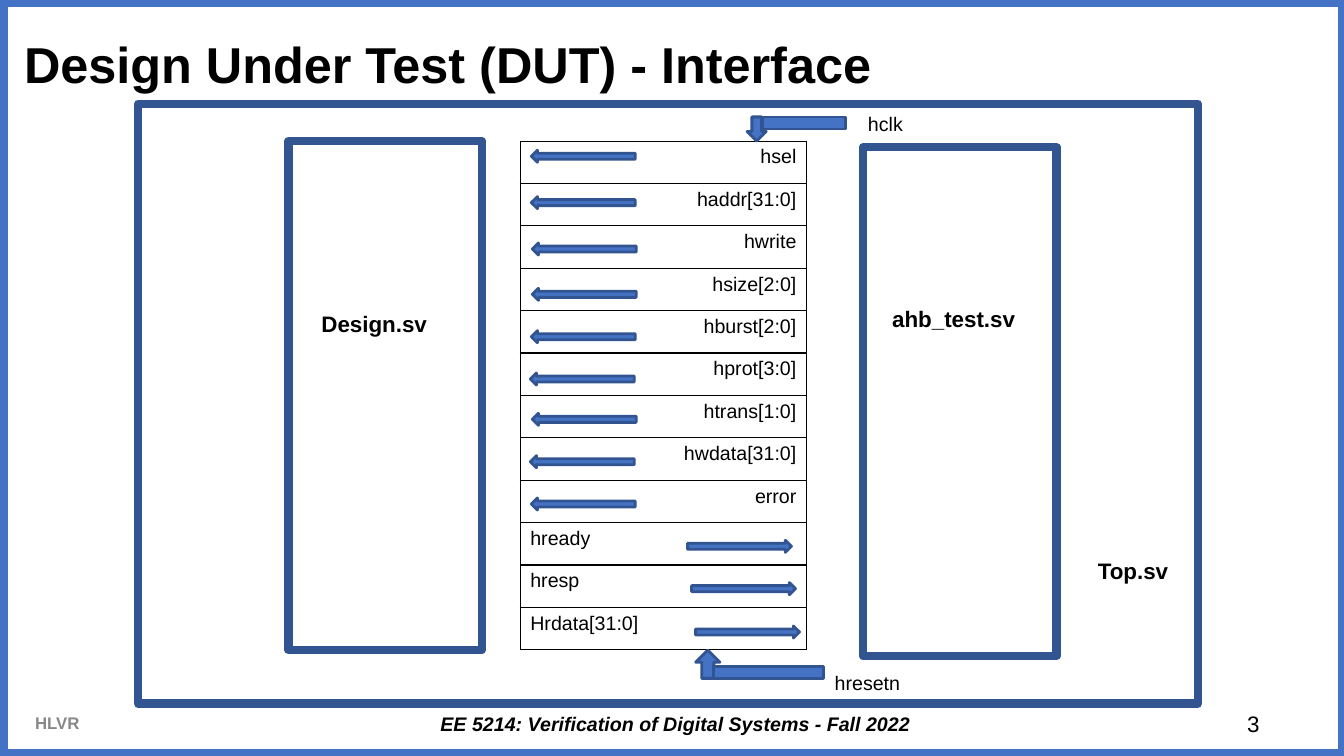
from lxml.etree import SubElement
from pptx import Presentation
from pptx.dml.color import RGBColor
from pptx.enum.shapes import MSO_SHAPE
from pptx.enum.text import MSO_ANCHOR, PP_ALIGN
from pptx.oxml.ns import qn
from pptx.util import Inches, Pt

COLORS = {"blue": "4472C4", "navy": "325491", "white": "FFFFFF",
          "black": "000000", "gray": "888888"}
FONT = "Arial"
ROW_HEIGHT = 5.05 / 12
ARROW_SIZE = (1.03, 0.12)
SIGNALS = [
    ("hsel", "in", 5.27, 1.49), ("haddr[31:0]", "in", 5.27, 1.95),
    ("hwrite", "in", 5.28, 2.41), ("hsize[2:0]", "in", 5.28, 2.86),
    ("hburst[2:0]", "in", 5.27, 3.28), ("hprot[3:0]", "in", 5.26, 3.7),
    ("htrans[1:0]", "in", 5.28, 4.1), ("hwdata[31:0]", "in", 5.26, 4.52),
    ("error", "in", 5.27, 4.94), ("hready", "out", 6.82, 5.36),
    ("hresp", "out", 6.86, 5.78), ("Hrdata[31:0]", "out", 6.9, 6.21),
]


def color(name):
    return RGBColor.from_string(COLORS[name])


def format_runs(paragraph, size, ink="black", bold=False, italic=False):
    for run in paragraph.runs:
        run.font.name = FONT
        run.font.size = Pt(size)
        run.font.bold = bold
        run.font.italic = italic
        run.font.color.rgb = color(ink)


def add_box(slide, kind, box, fill="blue", line_width=2, rotation=0):
    shape = slide.shapes.add_shape(kind, *map(Inches, box))
    shape.shadow.inherit = False
    shape.rotation = rotation
    shape.fill.solid()
    shape.fill.fore_color.rgb = color(fill)
    if line_width:
        shape.line.color.rgb = color("navy")
        shape.line.width = Pt(line_width)
    else:
        shape.line.fill.background()
    return shape


def add_text(slide, box, text, size, anchor=MSO_ANCHOR.TOP,
             align=PP_ALIGN.LEFT, inset=0.05, **style):
    text_frame = slide.shapes.add_textbox(*map(Inches, box)).text_frame
    text_frame.word_wrap = True
    text_frame.vertical_anchor = anchor
    text_frame.margin_top = text_frame.margin_bottom = Inches(inset)
    text_frame.text = text
    paragraph = text_frame.paragraphs[0]
    paragraph.alignment = align
    format_runs(paragraph, size, **style)


def set_borders(cell):
    properties = cell._tc.get_or_add_tcPr()
    for position, side in enumerate(("lnL", "lnR", "lnT", "lnB")):
        line = SubElement(properties, qn(f"a:{side}"), w=str(Pt(1)))
        fill = SubElement(line, qn("a:solidFill"))
        SubElement(fill, qn("a:srgbClr"), val=COLORS["black"])
        properties.insert(position, line)


def add_page(slide, box):
    left, top, width, height = box
    slide.background.fill.solid()
    slide.background.fill.fore_color.rgb = color("blue")
    add_box(slide, MSO_SHAPE.RECTANGLE, box, "white", 0)
    add_text(slide, (left + 0.06, top + 0.09, 11.3, 0.87),
             "Design Under Test (DUT) - Interface", 36,
             MSO_ANCHOR.BOTTOM, inset=0.1, bold=True)


def add_footer(slide, box):
    left, top, width, height = box
    middle = MSO_ANCHOR.MIDDLE
    add_text(slide, (left, top, 1.55, height), "HLVR", 12, middle,
             inset=0.1, ink="gray", bold=True)
    add_text(slide, (left + 3.46, top, 5.98, height),
             "EE 5214: Verification of Digital Systems - Fall 2022", 14,
             middle, PP_ALIGN.CENTER, 0.1, bold=True, italic=True)
    add_text(slide, (left + width - 1, top, 1, height), "3", 16, middle,
             inset=0.1)


def add_module(slide, box, name, label_offset, label_width):
    left, top, width, height = box
    add_box(slide, MSO_SHAPE.RECTANGLE, box, "white", 6)
    add_text(slide, (left + label_offset[0], top + label_offset[1],
                     label_width, 0.37), name, 16, bold=True)


def add_signals(slide, box):
    frame = slide.shapes.add_table(len(SIGNALS), 1, *map(Inches, box))
    table = frame.table
    table.first_row = table.horz_banding = False
    for row, (name, direction, arrow_left, arrow_top) in enumerate(SIGNALS):
        table.rows[row].height = Inches(ROW_HEIGHT)
        cell = table.cell(row, 0)
        cell.fill.background()
        set_borders(cell)
        cell.text_frame.text = name
        paragraph = cell.text_frame.paragraphs[0]
        incoming = direction == "in"
        paragraph.alignment = PP_ALIGN.RIGHT if incoming else PP_ALIGN.LEFT
        format_runs(paragraph, 14)
        add_box(slide, MSO_SHAPE.RIGHT_ARROW,
                (arrow_left, arrow_top, *ARROW_SIZE),
                rotation=180 if incoming else 0)


def add_control(slide, name, arrow_box, bar_box, label_box, rotation=0):
    add_box(slide, MSO_SHAPE.DOWN_ARROW, arrow_box, rotation=rotation)
    add_box(slide, MSO_SHAPE.RECTANGLE, bar_box)
    add_text(slide, label_box, name, 14)


def main():
    presentation = Presentation()
    presentation.slide_width = Inches(13.33)
    presentation.slide_height = Inches(7.5)
    slide = presentation.slides.add_slide(presentation.slide_layouts[6])
    add_page(slide, (0.08, 0.07, 13.19, 7.36))
    add_module(slide, (1.37, 1.03, 10.51, 5.95), "Top.sv", (9.42, 4.45), 0.99)
    add_footer(slide, (0.25, 6.98, 13.02, 0.39))
    add_signals(slide, (5.16, 1.4, 2.84, 5.05))
    add_module(slide, (2.86, 1.4, 1.92, 5.05), "Design.sv", (0.23, 1.63), 1.33)
    add_module(slide, (8.56, 1.46, 1.92, 5.05), "ahb_test.sv", (0.19, 1.52), 1.51)
    add_control(slide, "hclk", (7.41, 1.16, 0.19, 0.24),
                (7.56, 1.16, 0.83, 0.12), (8.51, 1.06, 0.82, 0.34))
    add_control(slide, "hresetn", (6.9, 6.45, 0.24, 0.28),
                (7.08, 6.61, 1.09, 0.12), (8.18, 6.61, 1.08, 0.34), 180)
    presentation.save("out.pptx")


main()
